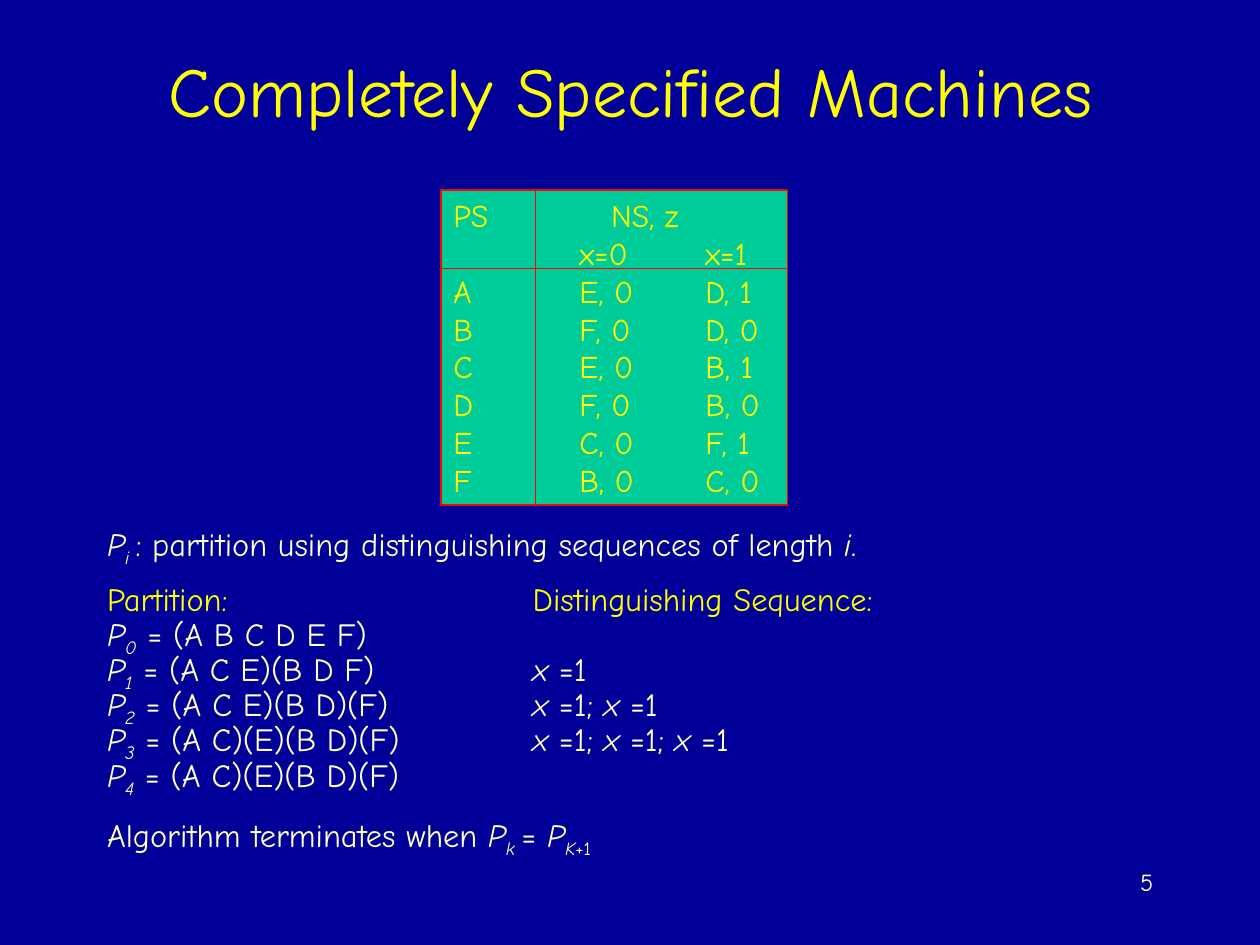
from dataclasses import dataclass
from lxml.etree import SubElement
from pptx import Presentation
from pptx.dml.color import RGBColor
from pptx.enum.shapes import MSO_CONNECTOR as Connector, MSO_SHAPE as Shape
from pptx.enum.text import MSO_ANCHOR as Anchor, PP_ALIGN as Align
from pptx.oxml.ns import qn
from pptx.util import Cm, Pt


@dataclass(frozen=True)
class Theme:
    font: str = "Comic Neue"
    background: RGBColor = RGBColor(0x00, 0x00, 0x99)
    accent: RGBColor = RGBColor(0xFF, 0xFF, 0x00)
    body: RGBColor = RGBColor(0xFF, 0xFF, 0xCC)
    panel: RGBColor = RGBColor(0x00, 0xCC, 0x99)
    border: RGBColor = RGBColor(0xFF, 0x00, 0x00)
    border_width: float = 0.75
    title_size: float = 40
    body_size: float = 18.5
    panel_size: float = 18
    number_size: float = 14


THEME = Theme()

STATE_ROWS = [
    ("PS", "NS, z"),
    ("", "x=0", "x=1"),
    ("A", "E, 0", "D, 1"),
    ("B", "F, 0", "D, 0"),
    ("C", "E, 0", "B, 1"),
    ("D", "F, 0", "B, 0"),
    ("E", "C, 0", "F, 1"),
    ("F", "B, 0", "C, 0"),
]
PARTITIONS = [
    "(A B C D E F)",
    "(A C E)(B D F)",
    "(A C E)(B D)(F)",
    "(A C)(E)(B D)(F)",
    "(A C)(E)(B D)(F)",
]
SEQUENCE_LENGTHS = [0, 1, 2, 3, 0]


def style_paragraph(paragraph, size, color):
    font = paragraph.font
    font.name, font.size, font.color.rgb = THEME.font, Pt(size), color


def set_tabs(paragraph, *positions):
    tabs = SubElement(paragraph._p.get_or_add_pPr(), qn("a:tabLst"))
    for position in positions:
        SubElement(tabs, qn("a:tab"), pos=str(Cm(position)), algn="l")


def style_border(line):
    line.color.rgb = THEME.border
    line.width = Pt(THEME.border_width)


def add_text_frame(slide, box, anchor=Anchor.TOP):
    frame = slide.shapes.add_textbox(*map(Cm, box)).text_frame
    frame.word_wrap = True
    frame.vertical_anchor = anchor
    return frame


def add_line_of_text(slide, box, text, size, color, align, anchor=Anchor.TOP):
    paragraph = add_text_frame(slide, box, anchor).paragraphs[0]
    paragraph.text = text
    paragraph.alignment = align
    style_paragraph(paragraph, size, color)


def add_state_panel(slide, box):
    left, top, width, height = box
    group = slide.shapes.add_group_shape()
    panel = group.shapes.add_shape(Shape.RECTANGLE, *map(Cm, box))
    panel.shadow.inherit = False
    panel.fill.solid()
    panel.fill.fore_color.rgb = THEME.panel
    style_border(panel.line)

    frame = panel.text_frame
    frame.word_wrap = True
    frame.vertical_anchor = Anchor.MIDDLE
    for index, values in enumerate(STATE_ROWS):
        paragraph = frame.add_paragraph() if index else frame.paragraphs[0]
        paragraph.text = "\t".join(values)
        paragraph.alignment = Align.LEFT
        set_tabs(paragraph, *((2.54, 5.08) if index else (3.18,)))
        style_paragraph(paragraph, THEME.panel_size, THEME.accent)

    divider_x, divider_y = left + width * 3 / 11, top + height / 4
    dividers = [
        (divider_x, top, divider_x, top + height),
        (left, divider_y, left + width, divider_y),
    ]
    for ends in dividers:
        divider = group.shapes.add_connector(Connector.STRAIGHT, *map(Cm, ends))
        style_border(divider.line)
        SubElement(divider._element.spPr, qn("a:effectLst"))


def partition_runs(index, blocks, length):
    runs = [("P", "i"), (str(index), "i_"), (f" = {blocks}", "")]
    for step in range(length):
        runs += [("; " if step else "\t", ""), ("x ", "i"), ("=1", "")]
    return runs


def add_partition_notes(slide, box):
    definition = [
        ("P", "i"), ("i ", "i_"),
        (": partition using distinguishing sequences of length ", ""),
        ("i", "i"), (".", ""),
    ]
    heading = [("Partition:\tDistinguishing Sequence:", "")]
    ending = [
        ("Algorithm terminates when ", ""), ("P", "i"), ("k ", "i_"),
        ("= ", ""), ("P", "i"), ("K", "i_"), ("+1", "_"),
    ]
    lines = [(definition, 0.4, 0, THEME.body), (heading, 0.6, 19, THEME.accent)]
    for index, row in enumerate(zip(PARTITIONS, SEQUENCE_LENGTHS)):
        lines.append((partition_runs(index, *row), 0.6, 5, THEME.body))
    lines.append((ending, 0.4, 23.5, THEME.body))

    frame = add_text_frame(slide, box)
    for index, (runs, spacing, before, color) in enumerate(lines):
        paragraph = frame.add_paragraph() if index else frame.paragraphs[0]
        paragraph.line_spacing = spacing
        paragraph.space_before = Pt(before)
        set_tabs(paragraph, 8.58)
        style_paragraph(paragraph, THEME.body_size, color)
        for text, style in runs:
            run = paragraph.add_run()
            run.text = text
            if "i" in style:
                run.font.italic = True
            if "_" in style:
                run._r.get_or_add_rPr().set("baseline", "-25000")


def main():
    presentation = Presentation()
    presentation.slide_width, presentation.slide_height = Cm(25.4), Cm(19.05)
    slide = presentation.slides.add_slide(presentation.slide_layouts[6])
    slide.background.fill.solid()
    slide.background.fill.fore_color.rgb = THEME.background
    add_line_of_text(slide, (1.91, 0.21, 21.59, 3.18), "Completely Specified Machines",
                     THEME.title_size, THEME.accent, Align.CENTER, Anchor.MIDDLE)
    add_partition_notes(slide, (1.91, 10.8, 21.59, 6.78))
    add_state_panel(slide, (8.89, 3.83, 6.99, 6.35))
    add_line_of_text(slide, (18.21, 17.35, 5.29, 1.27), "5",
                     THEME.number_size, THEME.body, Align.RIGHT)
    presentation.save("out.pptx")


if __name__ == "__main__":
    main()
